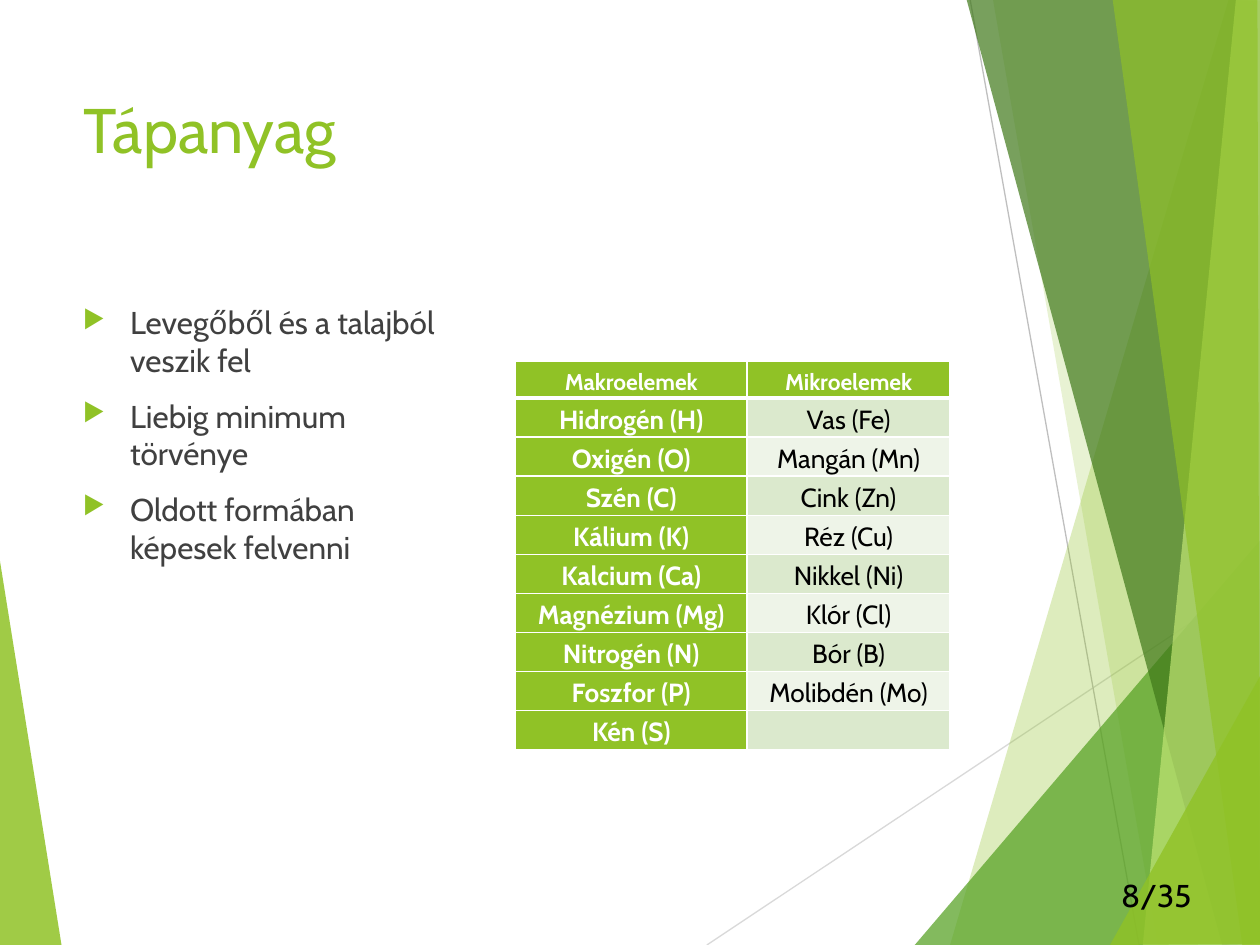
from dataclasses import dataclass

import lxml.etree
import pptx
import pptx.dml.color
import pptx.enum.shapes
import pptx.enum.text
import pptx.oxml
import pptx.oxml.ns
import pptx.util

COLORS = {
    "white": "FFFFFF", "black": "000000", "body": "404040",
    "lime": "90C226", "green": "54A021", "forest": "3F7819", "pale": "C0E474",
    "light rule": "D9D9D9", "rule": "BFBFBF",
    "odd row": "DBE9CD", "even row": "EEF4E8",
}
FONT = "Cabin"
COLUMNS, ROWS = 100, 75
SLIDE_WIDTH, SLIDE_HEIGHT = pptx.util.Inches(10), pptx.util.Inches(7.5)

Point = tuple[float, float]


@dataclass(frozen=True)
class Facet:
    color: str
    opacity: int
    corners: tuple[Point, ...]


@dataclass(frozen=True)
class Rule:
    color: str
    start: Point
    end: Point


@dataclass(frozen=True)
class Box:
    left: float
    top: float
    width: float
    height: float


LEFT_FACET = Facet("lime", 85, ((-0.1, 43.9), (4.9, 75.1), (-0.1, 75)))
RULES = (
    Rule("light rule", (56.1, 75), (100.1, 45.7)),
    Rule("rule", (77, 0), (90.4, 75)),
)
RIGHT_FACETS = (
    Facet("lime", 30, ((97.5, 0), (75.4, 75), (100.2, 75.1), (100.1, 0.1))),
    Facet("lime", 20, ((78.8, -0.1), (91.9, 75), (100.1, 75), (100.1, -0.1))),
    Facet("green", 72, ((72.6, 75), (100, 42.9), (100.1, 75))),
    Facet("forest", 70, ((76.7, -0.1), (97, 75), (100.1, 74.9), (100.1, -0.1))),
    Facet("pale", 70, ((98.1, -0.1), (90.7, 75), (100.1, 75), (100, -0.1))),
    Facet("lime", 65, ((88.3, -0.1), (98.6, 75), (100, 75), (99.8, -0.1))),
    Facet("lime", 80, ((88.1, 75), (100.1, 53.5), (100.1, 74.9))),
)
BULLETS = (
    "Levegőből és a talajból veszik fel",
    "Liebig minimum törvénye",
    "Oldott formában képesek felvenni",
)
ELEMENTS = (
    ("Makroelemek", "Mikroelemek"),
    ("Hidrogén (H)", "Vas (Fe)"),
    ("Oxigén (O)", "Mangán (Mn)"),
    ("Szén (C)", "Cink (Zn)"),
    ("Kálium (K)", "Réz (Cu)"),
    ("Kalcium (Ca)", "Nikkel (Ni)"),
    ("Magnézium (Mg)", "Klór (Cl)"),
    ("Nitrogén (N)", "Bór (B)"),
    ("Foszfor (P)", "Molibdén (Mo)"),
    ("Kén (S)", ""),
)


def across(columns: float) -> int:
    return round(SLIDE_WIDTH * columns / COLUMNS)


def down(rows: float) -> int:
    return round(SLIDE_HEIGHT * rows / ROWS)


def place(box: Box) -> tuple[int, int, int, int]:
    return across(box.left), down(box.top), across(box.width), down(box.height)


def rgb(color: str) -> pptx.dml.color.RGBColor:
    return pptx.dml.color.RGBColor.from_string(COLORS[color])


def style(paragraph, size: float, color: str, bold: bool = False) -> None:
    font = paragraph.font
    font.name, font.size, font.bold = FONT, pptx.util.Pt(size), bold
    font.color.rgb = rgb(color)


def draw_facet(slide, facet: Facet) -> None:
    corners = [(across(x), down(y)) for x, y in facet.corners]
    builder = slide.shapes.build_freeform(*corners[0])
    builder.add_line_segments(corners[1:], close=True)
    shape = builder.convert_to_shape()
    shape.shadow.inherit = False
    shape.line.fill.background()
    shape.fill.solid()
    shape.fill.fore_color.rgb = rgb(facet.color)
    fill_color = shape.fill._xPr.find(".//" + pptx.oxml.ns.qn("a:srgbClr"))
    alpha = lxml.etree.SubElement(fill_color, pptx.oxml.ns.qn("a:alpha"))
    alpha.set("val", str(facet.opacity * 1000))


def draw_rule(slide, rule: Rule) -> None:
    connector = slide.shapes.add_connector(
        pptx.enum.shapes.MSO_CONNECTOR.STRAIGHT,
        across(rule.start[0]), down(rule.start[1]),
        across(rule.end[0]), down(rule.end[1]))
    connector.line.color.rgb = rgb(rule.color)
    connector.line.width = pptx.util.Pt(0.75)
    lxml.etree.SubElement(connector._element.spPr, pptx.oxml.ns.qn("a:effectLst"))


def draw_title(slide, text: str, box: Box) -> None:
    title = slide.shapes.title
    title.left, title.top, title.width, title.height = place(box)
    frame = title.text_frame
    frame.text = text
    frame.vertical_anchor = pptx.enum.text.MSO_ANCHOR.TOP
    frame.paragraphs[0].alignment = pptx.enum.text.PP_ALIGN.LEFT
    style(frame.paragraphs[0], 36, "lime")


def add_bullet(paragraph) -> None:
    properties = paragraph._p.get_or_add_pPr()
    indent = across(3.75)
    properties.set("marL", str(indent))
    properties.set("indent", str(-indent))
    namespace = pptx.oxml.ns.nsdecls("a")
    for xml in (
        f'<a:buClr {namespace}><a:srgbClr val="{COLORS["lime"]}"/></a:buClr>',
        f'<a:buSzPct {namespace} val="80000"/>',
        f'<a:buChar {namespace} char="▶"/>',
    ):
        properties.append(pptx.oxml.parse_xml(xml))


def draw_text(slide, lines: tuple[str, ...], box: Box, color: str, bulleted: bool) -> None:
    frame = slide.shapes.add_textbox(*place(box)).text_frame
    frame.word_wrap = True
    for index, line in enumerate(lines):
        paragraph = frame.add_paragraph() if index else frame.paragraphs[0]
        paragraph.text = line
        if bulleted:
            add_bullet(paragraph)
        if index:
            paragraph.space_before = pptx.util.Pt(10)
        style(paragraph, 18, color)


def set_borders(cell, top: float, bottom: float) -> None:
    properties = cell._tc.get_or_add_tcPr()
    widths = {"lnL": 1, "lnR": 1, "lnT": top, "lnB": bottom}
    for index, (side, width) in enumerate(widths.items()):
        properties.insert(index, pptx.oxml.parse_xml(
            f'<a:{side} {pptx.oxml.ns.nsdecls("a")} w="{pptx.util.Pt(width)}"><a:solidFill>'
            f'<a:srgbClr val="{COLORS["white"]}"/></a:solidFill></a:{side}>'))


def draw_table(slide, box: Box, widths: tuple[float, ...], header: float, row_height: float) -> None:
    table = slide.shapes.add_table(len(ELEMENTS), len(widths), *place(box)).table
    for column, width in zip(table.columns, widths):
        column.width = across(width)
    for row_index, texts in enumerate(ELEMENTS):
        table.rows[row_index].height = down(row_height if row_index else header)
        for column_index, text in enumerate(texts):
            cell = table.cell(row_index, column_index)
            heading = row_index == 0 or column_index == 0
            band = "odd row" if row_index % 2 else "even row"
            cell.fill.solid()
            cell.fill.fore_color.rgb = rgb("lime" if heading else band)
            cell.margin_left = cell.margin_right = across(0.9)
            cell.margin_top = cell.margin_bottom = 0
            cell.vertical_anchor = pptx.enum.text.MSO_ANCHOR.MIDDLE
            set_borders(cell, 3 if row_index == 1 else 1, 3 if row_index == 0 else 1)
            paragraph = cell.text_frame.paragraphs[0]
            paragraph.text = text
            paragraph.alignment = pptx.enum.text.PP_ALIGN.CENTER
            paragraph.line_spacing = 1.15
            style(paragraph, 15 if row_index else 13, "white" if heading else "black", heading)


def main() -> None:
    presentation = pptx.Presentation()
    presentation.slide_width, presentation.slide_height = SLIDE_WIDTH, SLIDE_HEIGHT
    slide = presentation.slides.add_slide(presentation.slide_layouts.get_by_name("Title Only"))
    draw_facet(slide, LEFT_FACET)
    for rule in RULES:
        draw_rule(slide, rule)
    for facet in RIGHT_FACETS:
        draw_facet(slide, facet)
    draw_text(slide, ("8/35",), Box(88, 69, 16, 4), "black", False)
    draw_title(slide, "Tápanyag", Box(5.6, 6.7, 70.5, 14.4))
    draw_text(slide, BULLETS, Box(5.6, 23.6, 32.5, 41), "body", True)
    draw_table(slide, Box(40.9, 28.7, 34.5, 30.8), (18.4, 16.1), 2.9, 3.1)
    presentation.save("out.pptx")


if __name__ == "__main__":
    main()
